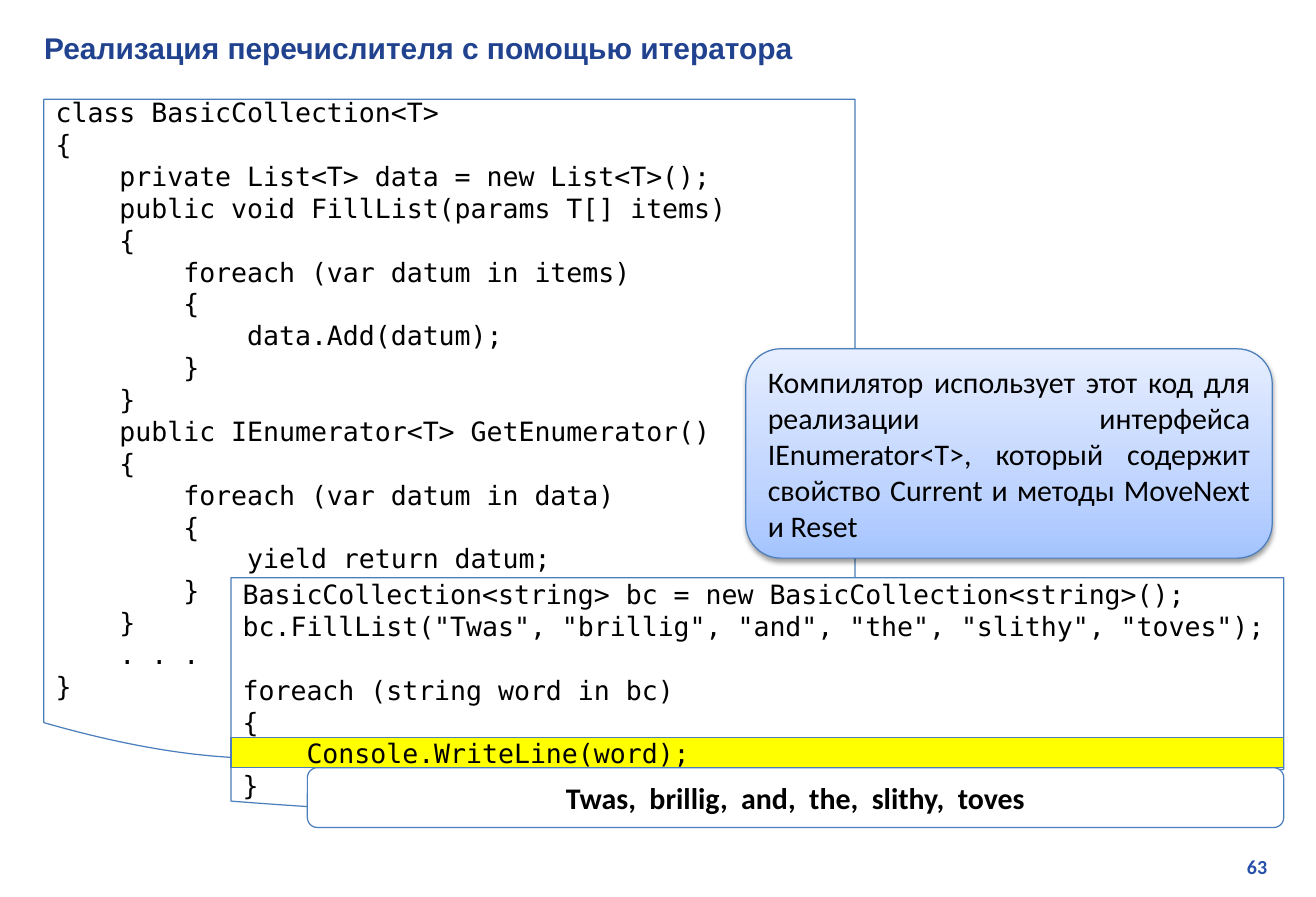
from lxml.etree import SubElement
from pptx import Presentation
from pptx.dml.color import RGBColor
from pptx.enum.shapes import MSO_SHAPE as SHAPE
from pptx.enum.text import MSO_ANCHOR as ANCHOR, MSO_AUTO_SIZE as AUTO, PP_ALIGN as ALIGN
from pptx.oxml.ns import qn
from pptx.util import Pt

TITLE = "Реализация перечислителя с помощью итератора"
CLASS_CODE = """class BasicCollection<T>
{
    private List<T> data = new List<T>();
    public void FillList(params T[] items)
    {
        foreach (var datum in items)
        {
            data.Add(datum);
        }
    }
    public IEnumerator<T> GetEnumerator()
    {
        foreach (var datum in data)
        {
            yield return datum;
        }
    }
    . . .
}"""
USAGE_CODE = """BasicCollection<string> bc = new BasicCollection<string>();
bc.FillList("Twas", "brillig", "and", "the", "slithy", "toves");

foreach (string word in bc)
{
    Console.WriteLine(word);
}"""
HIGHLIGHT = "    Console.WriteLine(word);"
NOTE = ("Компилятор использует этот код для реализации интерфейса IEnumerator<T>, "
        "который содержит свойство Current и методы MoveNext и Reset")
OUTPUT = "Twas,  brillig,  and,  the,  slithy,  toves"
PAGE = "63"

LINE = 19.2  # pitch of the code lines
CODE = dict(name="DejaVu Sans Mono", size=Pt(16), color="000000")
BODY = dict(name="Calibri", size=Pt(18), color="000000")
BOLD = dict(BODY, bold=True)
HEAD = dict(name="Arial", size=Pt(18), bold=True, color="21438F")
NUMBER = dict(name="Calibri", size=Pt(12), bold=True, color="2750AB")

# preset, (left, top, width, height), fill, text, font, alignment, top inset, line pitch
BOXES = [
    (SHAPE.FLOWCHART_DOCUMENT, (26.4, 59.8, 488.2, 401.8), "FFFFFF",
     CLASS_CODE, CODE, ALIGN.LEFT, 2 * LINE, LINE),
    (SHAPE.FLOWCHART_DOCUMENT, (139, 347.8, 633.6, 144), "FFFFFF",
     USAGE_CODE, CODE, ALIGN.LEFT, LINE, LINE),
    (SHAPE.ROUNDED_RECTANGLE, (448.9, 210, 316.8, 126), None,
     NOTE, BODY, ALIGN.JUSTIFY, 0, None),
    (SHAPE.RECTANGLE, (139, 444.2, 633.6, 18), "FFFF00",
     HIGHLIGHT, CODE, ALIGN.LEFT, 0, None),
    (SHAPE.ROUNDED_RECTANGLE, (185, 462.2, 587.6, 36), "FFFFFF",
     OUTPUT, BOLD, ALIGN.CENTER, 0, None),
]
NOTE_STOPS = [(0, "A4C4FF"), (35, "BFD4FF"), (100, "E6EEFF")]


def rgb(value):
    return RGBColor.from_string(value)


def place(sp, box):
    for name, value in zip(("left", "top", "width", "height"), box):
        setattr(sp, name, Pt(value))


def write(tf, text, font, align, anchor=ANCHOR.MIDDLE, top=0, pitch=None):
    tf.word_wrap = True
    tf.auto_size = AUTO.NONE
    tf.vertical_anchor = anchor
    tf.margin_top, tf.margin_bottom = Pt(top), 0
    tf.margin_left = tf.margin_right = Pt(7.2)
    for i, line in enumerate(text.split("\n")):
        p = tf.paragraphs[0] if i == 0 else tf.add_paragraph()
        p.alignment = align
        if pitch:
            p.line_spacing = Pt(pitch)
        r = p.add_run()
        r.text = line
        for name, value in font.items():
            if name == "color":
                r.font.color.rgb = rgb(value)
            else:
                setattr(r.font, name, value)


def add_color(parent, value):
    return SubElement(parent, qn("a:srgbClr"), val=value)


def fill_gradient(sp, stops):
    """Fill from bottom to top with the given (percent, colour) stops."""
    sp.fill.gradient()
    sp.fill.gradient_angle = 90
    stop_list = sp._element.spPr.find(".//" + qn("a:gsLst"))
    for stop in list(stop_list):
        stop_list.remove(stop)
    for percent, value in stops:
        add_color(SubElement(stop_list, qn("a:gs"), pos=str(percent * 1000)), value)


def cast_shadow(sp):
    effects = sp._element.spPr.find(qn("a:effectLst"))
    shadow = SubElement(effects, qn("a:outerShdw"), blurRad=str(Pt(3.1)),
                        dist=str(Pt(1.6)), dir="5400000", rotWithShape="0")
    SubElement(add_color(shadow, "000000"), qn("a:alpha"), val="38000")


def main():
    prs = Presentation()
    prs.slide_width, prs.slide_height = Pt(792), Pt(540)
    s = prs.slides.add_slide(prs.slide_layouts[5])

    title = s.shapes.title
    place(title, (19.4, 14.4, 756, 28.8))
    write(title.text_frame, TITLE, HEAD, ALIGN.LEFT)

    for preset, box, fill, text, font, align, top, pitch in BOXES:
        sp = s.shapes.add_shape(preset, *map(Pt, box))
        sp.shadow.inherit = False
        sp.line.color.rgb = rgb("4B7EBC")
        sp.line.width = Pt(0.75)
        if fill:
            sp.fill.solid()
            sp.fill.fore_color.rgb = rgb(fill)
        else:
            fill_gradient(sp, NOTE_STOPS)
            cast_shadow(sp)
        write(sp.text_frame, text, font, align, top=top, pitch=pitch)

    number = s.shapes.add_textbox(*map(Pt, (601.9, 511.2, 167.8, 21.6)))
    write(number.text_frame, PAGE, NUMBER, ALIGN.RIGHT, ANCHOR.TOP, 3.6)

    prs.save("out.pptx")


if __name__ == "__main__":
    main()
